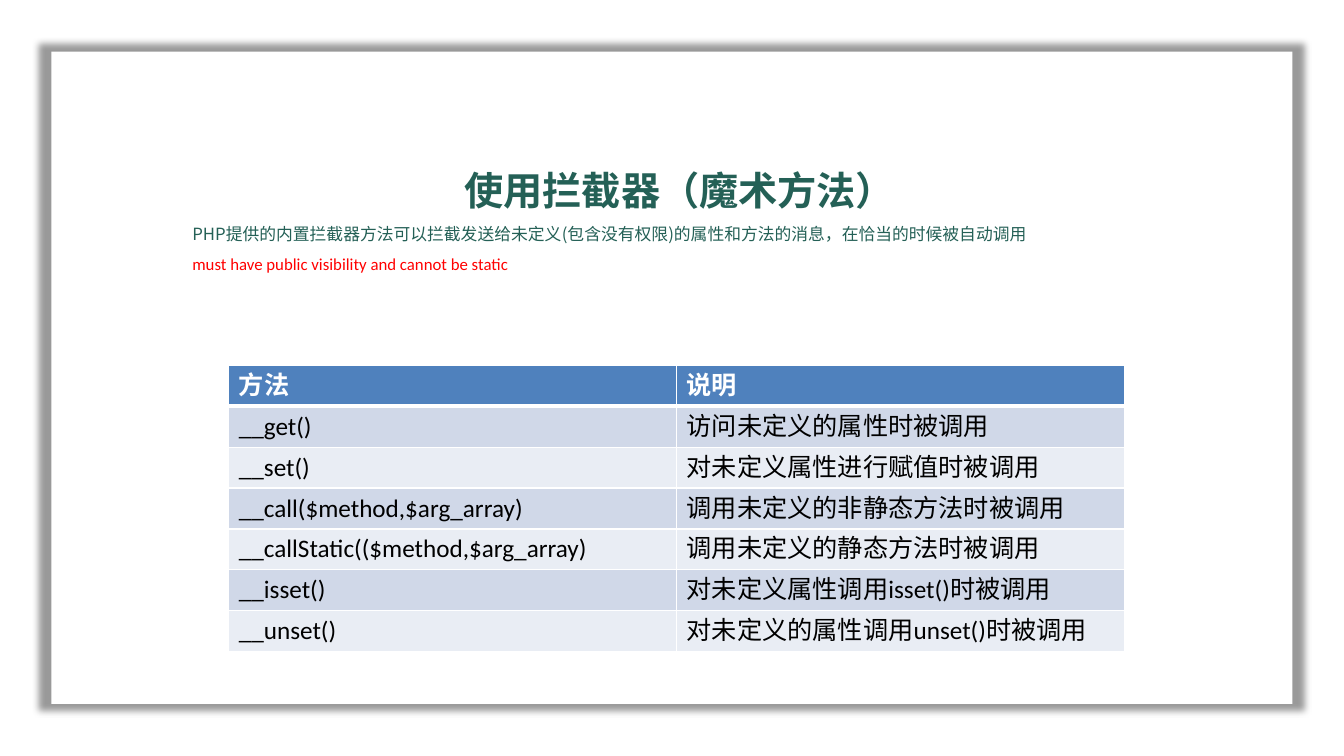
from lxml.etree import SubElement
from pptx import Presentation
from pptx.dml.color import RGBColor
from pptx.enum.shapes import MSO_SHAPE
from pptx.enum.text import MSO_ANCHOR, MSO_AUTO_SIZE, PP_ALIGN
from pptx.oxml import parse_xml
from pptx.oxml.ns import nsdecls, qn
from pptx.util import Pt

CJK, LATIN = "Noto Sans CJK SC", "Calibri"
WHITE, BLACK, GREEN, RED = "FFFFFF", "000000", "246056", "FF0000"
HEADER, BANDS = "4F81BD", ("D0D8E8", "E9EDF4")

INTRO = [
    ("使用拦截器（魔术方法）", PP_ALIGN.CENTER, 28, CJK, GREEN, True),
    ("PHP提供的内置拦截器方法可以拦截发送给未定义(包含没有权限)的属性和方法的消息，在恰当的时候被自动调用",
     PP_ALIGN.JUSTIFY, 12, CJK, GREEN, False),
    ("must have public visibility and cannot be static",
     PP_ALIGN.JUSTIFY, 12, LATIN, RED, False),
]
METHODS = [
    ("方法", "说明"),
    ("__get()", "访问未定义的属性时被调用"),
    ("__set()", "对未定义属性进行赋值时被调用"),
    ("__call($method,$arg_array)", "调用未定义的非静态方法时被调用"),
    ("__callStatic(($method,$arg_array)", "调用未定义的静态方法时被调用"),
    ("__isset()", "对未定义属性调用isset()时被调用"),
    ("__unset()", "对未定义的属性调用unset()时被调用"),
]


def rgb(value):
    return RGBColor.from_string(value)


class SlideBuilder:
    def __init__(self, slide):
        self.s = slide

    def style(self, p, size, face, color, bold):
        for r in p.runs:
            r.font.size, r.font.name, r.font.bold = Pt(size), face, bold
            r.font.color.rgb = rgb(color)
            east_asian = SubElement(r.font._element, qn("a:ea"))
            east_asian.set("typeface", face)

    def panel(self, x, y, w, h):
        """Draw a white panel with a soft shadow slightly larger than itself."""
        sp = self.s.shapes.add_shape(MSO_SHAPE.RECTANGLE, Pt(x), Pt(y), Pt(w), Pt(h))
        sp.fill.solid()
        sp.fill.fore_color.rgb = rgb(WHITE)
        sp.line.fill.background()
        sp.shadow.inherit = False
        effects = sp._element.spPr.find(qn("a:effectLst"))
        effects.append(parse_xml(
            f'<a:outerShdw {nsdecls("a")} blurRad="{Pt(5)}" sx="102000" sy="102000" '
            f'algn="ctr" rotWithShape="0"><a:srgbClr val="{BLACK}">'
            '<a:alpha val="40000"/></a:srgbClr></a:outerShdw>'))

    def text(self, x, y, w, h, lines):
        tf = self.s.shapes.add_textbox(Pt(x), Pt(y), Pt(w), Pt(h)).text_frame
        tf.word_wrap = True
        tf.auto_size = MSO_AUTO_SIZE.SHAPE_TO_FIT_TEXT
        tf.vertical_anchor = MSO_ANCHOR.MIDDLE
        tf.text = "\n".join(line[0] for line in lines)
        for p, (_, align, *look) in zip(tf.paragraphs, lines):
            p.alignment, p.line_spacing = align, 1.5
            self.style(p, *look)

    def borders(self, cell, top, bottom):
        tc_pr = cell._tc.get_or_add_tcPr()
        widths = {"lnL": 1, "lnR": 1, "lnT": top, "lnB": bottom}
        for i, (side, width) in enumerate(widths.items()):
            tc_pr.insert(i, parse_xml(
                f'<a:{side} {nsdecls("a")} w="{Pt(width)}"><a:solidFill>'
                f'<a:srgbClr val="{WHITE}"/></a:solidFill></a:{side}>'))

    def table(self, x, y, w, h, rows):
        table = self.s.shapes.add_table(
            len(rows), len(rows[0]), Pt(x), Pt(y), Pt(w), Pt(h)).table
        for i, row in enumerate(rows):
            header = i == 0
            for j, words in enumerate(row):
                cell = table.cell(i, j)
                cell.text = words
                self.style(cell.text_frame.paragraphs[0], 18, LATIN,
                           WHITE if header else BLACK, header)
                cell.fill.solid()
                cell.fill.fore_color.rgb = rgb(HEADER if header else BANDS[(i - 1) % 2])
                self.borders(cell, 3 if i == 1 else 1, 3 if header else 1)


def main():
    prs = Presentation()
    prs.slide_width, prs.slide_height = Pt(960), Pt(540)
    builder = SlideBuilder(prs.slides.add_slide(prs.slide_layouts[6]))
    builder.panel(36.8, 36.8, 886.4, 466)
    builder.text(130.3, 97.9, 710.6, 101.5, INTRO)
    builder.table(163.4, 261, 640, 204.4, METHODS)
    prs.save("out.pptx")


if __name__ == "__main__":
    main()
